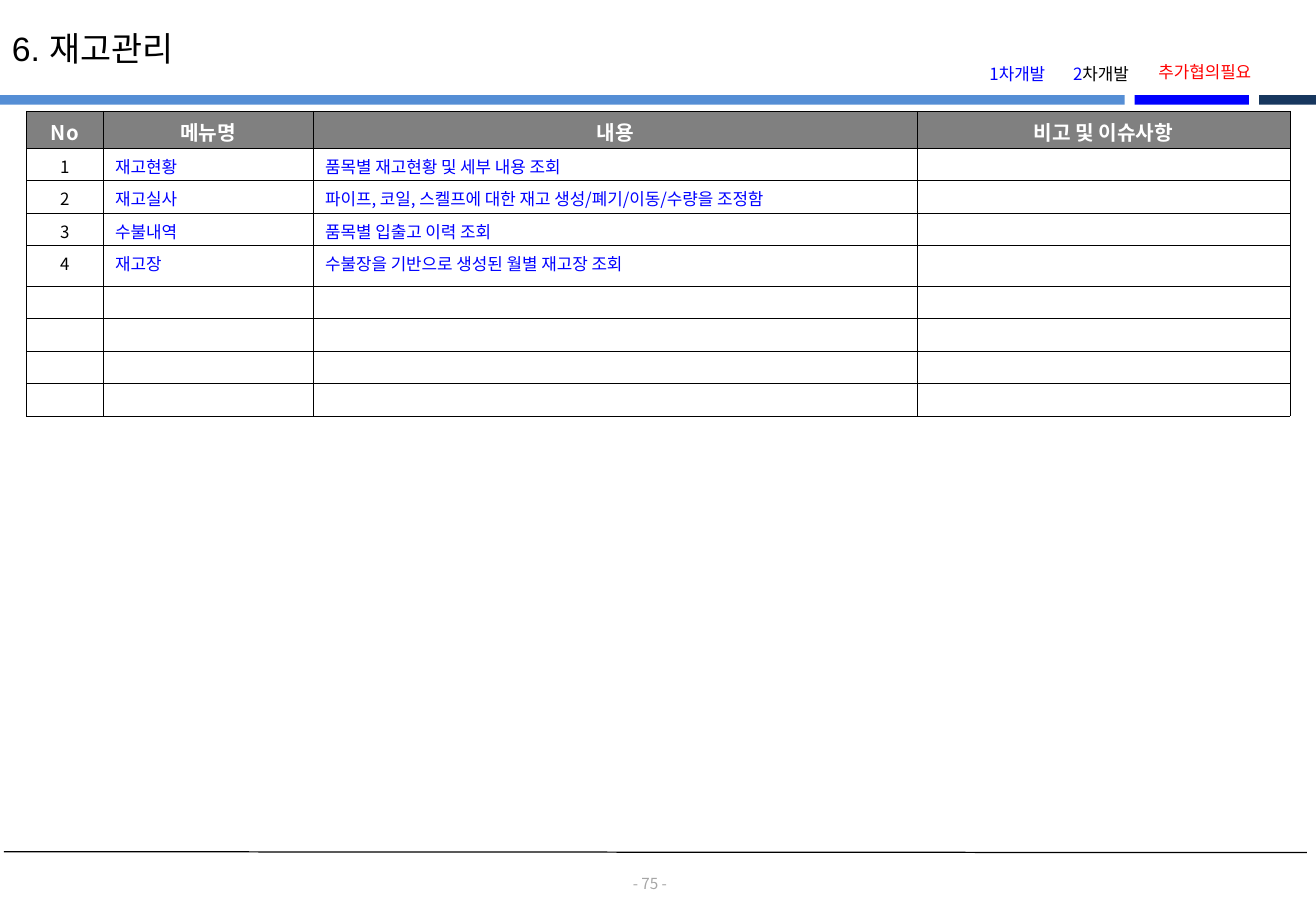
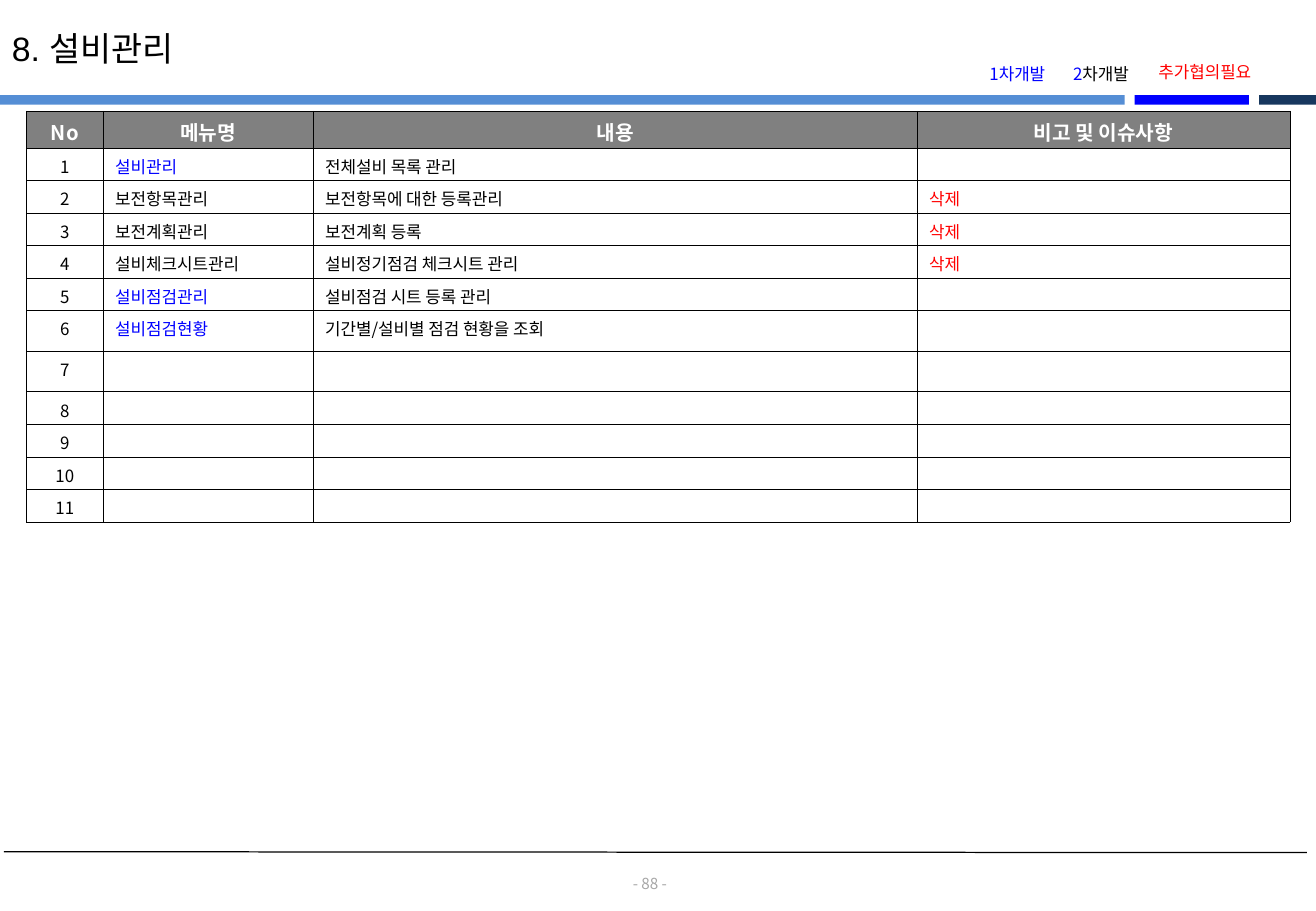
import pptx
import pptx.util
import pptx.dml.color
import pptx.enum.shapes
import pptx.enum.text
import lxml.etree
from pptx.util import Cm

COLORS = {
    "black": "000000", "white": "FFFFFF", "blue": "0000FF", "red": "FF0000",
    "sky": "558ED5", "navy": "17375E", "header": "808080", "number": "A6A6A6",
}
KOREAN = "Noto Sans CJK KR"
LEFT = pptx.enum.text.PP_ALIGN.LEFT
CENTER = pptx.enum.text.PP_ALIGN.CENTER
TOP = pptx.enum.text.MSO_ANCHOR.TOP
MIDDLE = pptx.enum.text.MSO_ANCHOR.MIDDLE
HEADERS = ["No", "메뉴명", "내용", "비고 및 이슈사항"]
COLUMN_WIDTHS = [1.61, 4.39, 12.63, 7.79]
HEADER_HEIGHT, ROW_HEIGHT, TALL_HEIGHT = 0.77, 0.68, 0.85
BAND_GAP = 0.21
BANDS = [("sky", 23.52), ("blue", 2.39), ("navy", 1.19)]
LEGEND = [
    ((20.17, 1.32, 2.21, 0.46), [("1차개발", "blue")]),
    ((21.92, 1.32, 2.21, 0.46), [("2", "blue"), ("차개발", "black")]),
    ((23.85, 1.27, 2.69, 0.46), [("추가협의필요", "red")]),
]
STYLES = {
    "title": {"size": 20, "name": "Arial", "bold": False},
    "header": {"size": 12, "name": KOREAN, "bold": True},
    "body": {"size": 10, "name": KOREAN, "bold": False},
    "number": {"size": 9, "name": KOREAN, "bold": False},
}
SLIDES = [
    {
        "title": "6. 재고관리", "number": "- 75 -", "tall": [4],
        "colors": ["black", "blue", "blue", "red"],
        "rows": [
            ["1", "재고현황", "품목별 재고현황 및 세부 내용 조회", ""],
            ["2", "재고실사", "파이프, 코일, 스켈프에 대한 재고 생성/폐기/이동/수량을 조정함", ""],
            ["3", "수불내역", "품목별 입출고 이력 조회", ""],
            ["4", "재고장", "수불장을 기반으로 생성된 월별 재고장 조회", ""],
        ] + [[""] * 4] * 4,
    },
    {
        "title": "8. 설비관리", "number": "- 88 -", "tall": [6, 7],
        "colors": ["black", "blue", "black", "red"],
        "rows": [
            ["1", "설비관리", "전체설비 목록 관리", ""],
            ["2", "보전항목관리", "보전항목에 대한 등록관리", "삭제"],
            ["3", "보전계획관리", "보전계획 등록", "삭제"],
            ["4", "설비체크시트관리", "설비정기점검 체크시트 관리", "삭제"],
            ["5", "설비점검관리", "설비점검 시트 등록 관리", ""],
            ["6", "설비점검현황", "기간별/설비별 점검 현황을 조회", ""],
        ] + [[str(number), "", "", ""] for number in range(7, 12)],
    },
]


def rgb(color):
    return pptx.dml.color.RGBColor.from_string(COLORS[color])


def add_element(parent, tag, **attributes):
    return lxml.etree.SubElement(parent, pptx.oxml.ns.qn(tag), attributes)


def write(paragraph, runs, style, alignment):
    paragraph.alignment = alignment
    for text, color in runs:
        run = paragraph.add_run()
        run.text = text
        for name, value in STYLES[style].items():
            setattr(run.font, name, pptx.util.Pt(value) if name == "size" else value)
        run.font.color.rgb = rgb(color)
        add_element(run.font._element, "a:ea", typeface=STYLES[style]["name"])


def add_text(slide, box, runs, style, alignment=CENTER, anchor=MIDDLE, insets=(0, 0)):
    frame = slide.shapes.add_textbox(*map(Cm, box)).text_frame
    side, edge = map(Cm, insets)
    settings = {
        "word_wrap": True, "vertical_anchor": anchor, "margin_left": side,
        "margin_right": side, "margin_top": edge, "margin_bottom": edge,
    }
    for name, value in settings.items():
        setattr(frame, name, value)
    write(frame.paragraphs[0], runs, style, alignment)


def add_frame(slide, title, number):
    left = 0
    for color, width in BANDS:
        band = slide.shapes.add_shape(
            pptx.enum.shapes.MSO_SHAPE.RECTANGLE, Cm(left), Cm(1.99), Cm(width), Cm(0.2))
        band.shadow.inherit = False
        band.fill.solid()
        band.fill.fore_color.rgb = rgb(color)
        band.line.fill.background()
        left += width + BAND_GAP
    line = slide.shapes.add_connector(
        pptx.enum.shapes.MSO_CONNECTOR.STRAIGHT, Cm(0.08), Cm(17.81), Cm(27.33), Cm(17.83))
    line.line.color.rgb = rgb("black")
    line.line.width = pptx.util.Pt(0.75)
    add_element(line._element.spPr, "a:effectLst")
    add_text(slide, (12.83, 18.29, 1.52, 0.38), [(number, "number")], "number")
    add_text(slide, (0, 0.46, 24.08, 1.12), [(title, "black")], "title", LEFT, TOP, (0.25, 0.13))
    for box, runs in LEGEND:
        add_text(slide, box, runs, "body")


def add_borders(cell):
    properties = cell._tc.get_or_add_tcPr()
    for side in ("a:lnL", "a:lnR", "a:lnT", "a:lnB"):
        border = add_element(properties, side, w=str(pptx.util.Pt(0.25)))
        add_element(add_element(border, "a:solidFill"), "a:srgbClr", val=COLORS["black"])


def fill_cell(cell, text, color, style, alignment):
    settings = {
        "margin_left": Cm(0.25), "margin_right": Cm(0.25),
        "margin_top": Cm(0.13), "margin_bottom": Cm(0.02), "vertical_anchor": TOP,
    }
    for name, value in settings.items():
        setattr(cell, name, value)
    add_borders(cell)
    if style == "header":
        cell.fill.solid()
        cell.fill.fore_color.rgb = rgb("header")
    else:
        cell.fill.background()
    paragraph = cell.text_frame.paragraphs[0]
    write(paragraph, [(text, color)] if text else [], style, alignment)
    if not text:
        ending = add_element(paragraph._p, "a:endParaRPr", sz=str(STYLES[style]["size"] * 100))
        for script in ("a:latin", "a:ea"):
            add_element(ending, script, typeface=KOREAN)


def add_menu_table(slide, rows, colors, tall):
    heights = [HEADER_HEIGHT] + [
        TALL_HEIGHT if number in tall else ROW_HEIGHT for number in range(1, len(rows) + 1)]
    table = slide.shapes.add_table(
        len(heights), len(HEADERS), Cm(0.55), Cm(2.32),
        Cm(sum(COLUMN_WIDTHS)), Cm(sum(heights))).table
    table.first_row = table.horz_banding = False
    for column, width in zip(table.columns, COLUMN_WIDTHS):
        column.width = Cm(width)
    for row, height in zip(table.rows, heights):
        row.height = Cm(height)
    for index, header in enumerate(HEADERS):
        fill_cell(table.cell(0, index), header, "white", "header", CENTER)
    for number, values in enumerate(rows, 1):
        for index, text in enumerate(values):
            color = "black" if index == 1 and values[3] else colors[index]
            alignment = LEFT if index else CENTER
            fill_cell(table.cell(number, index), text, color, "body", alignment)


def main():
    presentation = pptx.Presentation()
    presentation.slide_width, presentation.slide_height = Cm(27.52), Cm(19.05)
    for content in SLIDES:
        slide = presentation.slides.add_slide(presentation.slide_layouts[6])
        add_frame(slide, content["title"], content["number"])
        add_menu_table(slide, content["rows"], content["colors"], content["tall"])
    presentation.save("out.pptx")


if __name__ == "__main__":
    main()
